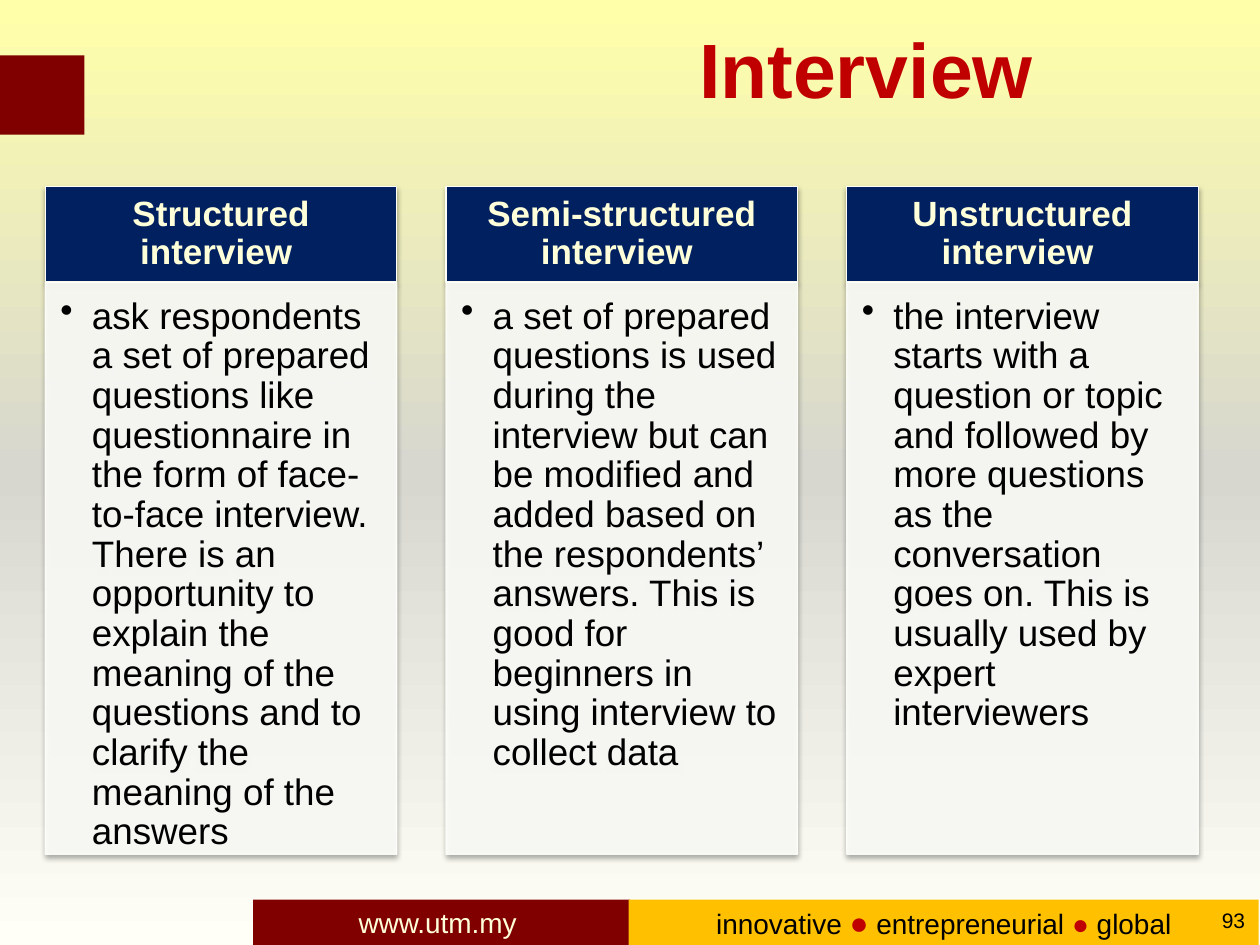
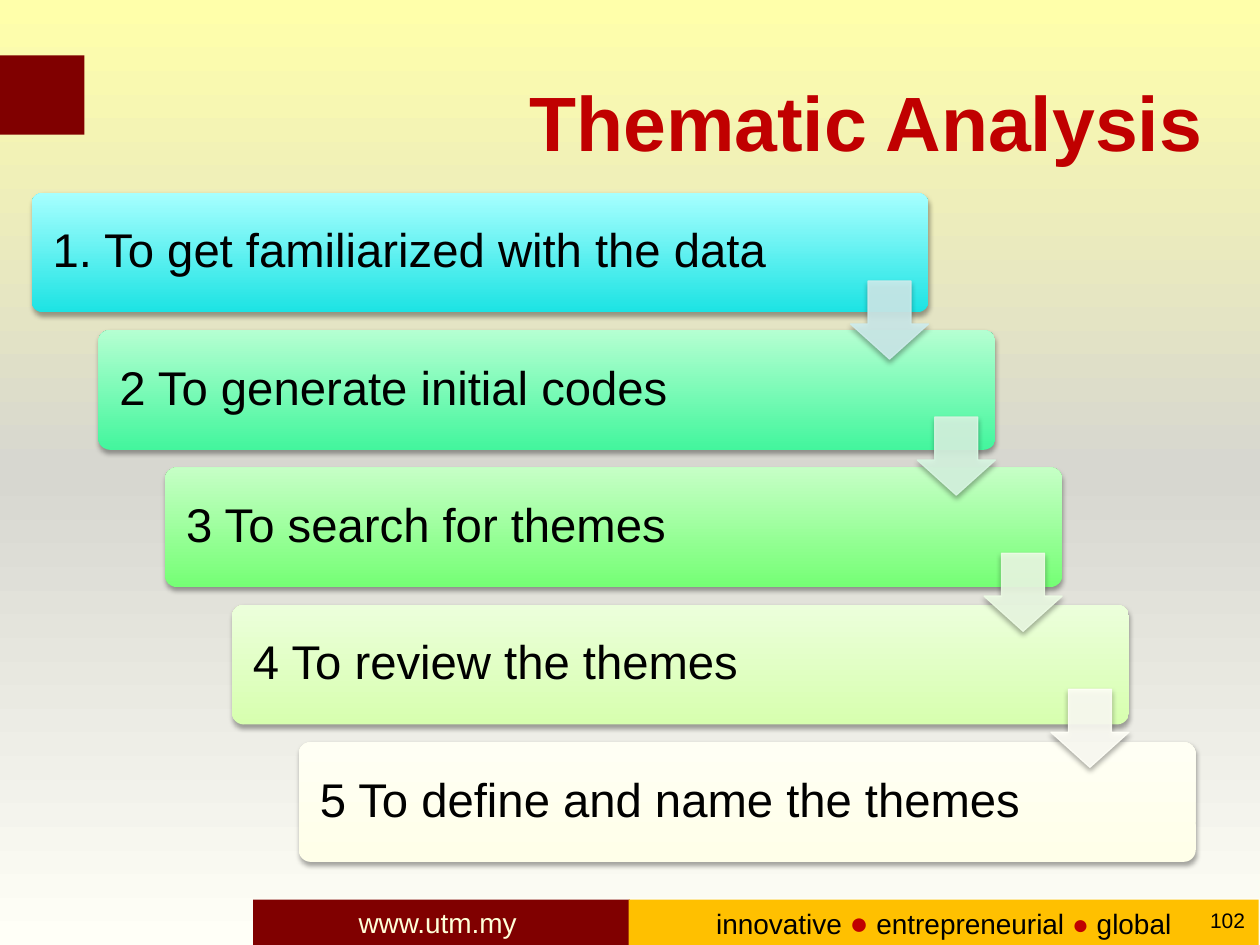
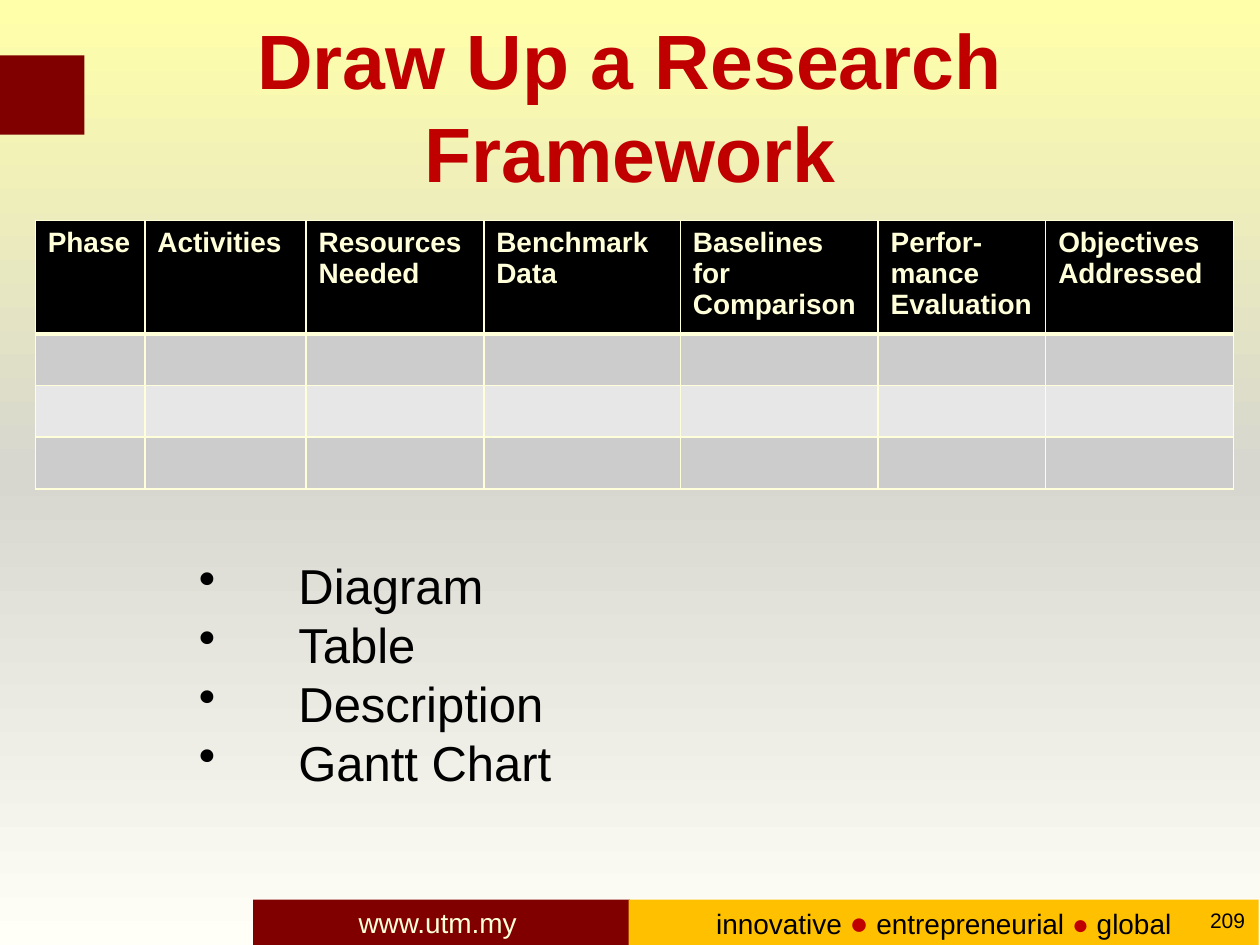
from copy import deepcopy

from lxml import etree
from pptx import Presentation
from pptx.dml.color import RGBColor
from pptx.enum.shapes import MSO_SHAPE
from pptx.enum.text import MSO_ANCHOR, MSO_AUTO_SIZE, PP_ALIGN
from pptx.oxml.ns import qn
from pptx.util import Inches, Pt

RECT = MSO_SHAPE.RECTANGLE
ROUNDED = MSO_SHAPE.ROUNDED_RECTANGLE
DOWN_ARROW = MSO_SHAPE.DOWN_ARROW
MIDDLE = MSO_ANCHOR.MIDDLE
TOP = MSO_ANCHOR.TOP
LEFT = PP_ALIGN.LEFT
CENTER = PP_ALIGN.CENTER
RIGHT = PP_ALIGN.RIGHT
NO_AUTOFIT = MSO_AUTO_SIZE.NONE

FONT = "Arial"
MAROON = "800000"
RED = "C00000"
AMBER = "FFC000"
NAVY = "002060"
CREAM = "FFFFD9"
BLACK = "000000"
rgb = RGBColor.from_string


def add_box(slide, kind, place, fills, line=None, alpha=None, shadow=False):
    box = slide.shapes.add_shape(kind, *[Inches(value) for value in place])
    if len(fills) == 1:
        box.fill.solid()
        box.fill.fore_color.rgb = rgb(fills[0])
    else:
        box.fill.gradient()
        box.fill.gradient_angle = 90
        for stop, color in zip(box.fill.gradient_stops, fills):
            stop.color.rgb = rgb(color)
    if line:
        box.line.color.rgb = rgb(line)
        box.line.width = Pt(0.75)
    else:
        box.line.fill.background()
    properties = box.element.spPr
    if alpha:
        for color in properties.iter(qn("a:srgbClr")):
            etree.SubElement(color, qn("a:alpha"), val=str(alpha * 1000))
    box.shadow.inherit = False
    if shadow:
        effects = properties.find(qn("a:effectLst"))
        outer = etree.SubElement(effects, qn("a:outerShdw"), blurRad=str(Pt(3.1)),
                                 dist=str(Pt(1.8)), dir="5400000", rotWithShape="0")
        shade = etree.SubElement(outer, qn("a:srgbClr"), val=BLACK)
        etree.SubElement(shade, qn("a:alpha"), val="35000")
    return box


def write(paragraph, runs, align=LEFT, spacing=None, hang=None, bold=False):
    paragraph.alignment = align
    if hang:
        settings = paragraph._p.get_or_add_pPr()
        settings.set("marL", str(Inches(hang)))
        settings.set("indent", str(-Inches(hang)))
        etree.SubElement(settings, qn("a:buChar"), char="•")
    if spacing:
        paragraph.line_spacing = spacing
    for text, size, color in runs:
        run = paragraph.add_run()
        run.text = text
        run.font.name = FONT
        run.font.size = Pt(size)
        run.font.bold = bold
        run.font.color.rgb = rgb(color)


prs = Presentation()
prs.slide_width = Inches(10)
prs.slide_height = Inches(7.5)

backdrop = prs.slide_master.background.fill
backdrop.gradient()
backdrop.gradient_angle = 270
stop_list = prs.slide_master.element.find(".//" + qn("a:gsLst"))
stop_list.insert(1, deepcopy(stop_list[0]))
backdrop_stops = [(0, "FFFFAA"), (0.5, "D7D7D0"), (1, "FFFFF7")]
for stop, (position, color) in zip(backdrop.gradient_stops, backdrop_stops):
    stop.position = position
    stop.color.rgb = rgb(color)

motto = [
    ("innovative ", 16, BLACK),
    ("●", 18, RED),
    (" entrepreneurial ", 16, BLACK),
    ("● ", 16, RED),
    ("global", 16, BLACK),
]
topics = [
    ("Interview", "93", (3.75, 0.25, 6.25, 0.58)),
    ("Thematic Analysis", "102", (3.75, 0.67, 6.25, 0.58)),
    ("Draw Up a Research Framework", "209", (0.75, 0.21, 8.5, 1.25)),
]
slides = []
for heading, number, place in topics:
    slide = prs.slides.add_slide(prs.slide_layouts[5])
    slides.append(slide)

    address_band = add_box(slide, RECT, (2.01, 7.14, 2.99, 0.36), [MAROON])
    write(address_band.text_frame.paragraphs[0], [("www.utm.my ", 16, CREAM)], CENTER)
    motto_band = add_box(slide, RECT, (4.99, 7.14, 5, 0.36), [AMBER])
    write(motto_band.text_frame.paragraphs[0], motto, CENTER)
    add_box(slide, RECT, (0, 0.44, 0.67, 0.63), [MAROON])

    page = slide.shapes.add_textbox(Inches(9.33), Inches(7.1), Inches(0.65), Inches(0.4))
    page.text_frame.word_wrap = True
    page.text_frame.vertical_anchor = MIDDLE
    write(page.text_frame.paragraphs[0], [(number, 12, BLACK)], RIGHT)

    title = slide.shapes.title
    title.left, title.top, title.width, title.height = [Inches(value) for value in place]
    title.text_frame.auto_size = NO_AUTOFIT
    title.text_frame.vertical_anchor = MIDDLE
    write(title.text_frame.paragraphs[0], [(heading, 44, RED)], CENTER, bold=True)

interview, thematic, framework = slides

interview_types = [
    ("Structured interview ",
     "ask respondents a set of prepared questions like questionnaire in the form of "
     "face-to-face interview. There is an opportunity to explain the meaning of the "
     "questions and to clarify the meaning of the answers"),
    ("Semi-structured interview ",
     "a set of prepared questions is used during the interview but can be modified and "
     "added based on the respondents’ answers. This is good for beginners in using "
     "interview to collect data"),
    ("Unstructured interview ",
     "the interview starts with a question or topic and followed by more questions as "
     "the conversation goes on. This is usually used by expert interviewers"),
]
for index, (kind, description) in enumerate(interview_types):
    left = 0.36 + 3.18 * index
    header = add_box(interview, RECT, (left, 1.48, 2.79, 0.76), [NAVY], "FFFFF7", shadow=True)
    header.text_frame.margin_left = header.text_frame.margin_right = Inches(0.16)
    header.text_frame.margin_top = header.text_frame.margin_bottom = Inches(0.09)
    write(header.text_frame.paragraphs[0], [(kind, 20, CREAM)], CENTER, 0.9, bold=True)

    detail = add_box(interview, RECT, (left, 2.24, 2.79, 4.54), ["FFFFFC"], "FFFFFC", 90, True)
    detail.text_frame.vertical_anchor = TOP
    detail.text_frame.margin_left = detail.text_frame.margin_top = Inches(0.12)
    detail.text_frame.margin_right = Inches(0.16)
    detail.text_frame.margin_bottom = Inches(0.18)
    write(detail.text_frame.paragraphs[0], [(description, 21, BLACK)], LEFT, 0.9, 0.25)

steps = [
    ("1. To get familiarized with the data", ["1CE3E3", "A7FFFF"]),
    ("2 To generate initial codes", ["43F69D", "B5FFD2"]),
    ("3 To search for themes", ["75FF75", "C6FFC6"]),
    ("4 To review the themes", ["D7FFAF", "ECFFDB"]),
    ("5 To define and name the themes", ["FFFFE9", "FFFFF4"]),
]
for index, (label, shades) in enumerate(steps):
    place = (0.25 + 0.53 * index, 1.53 + 1.09 * index, 7.12, 0.95)
    step = add_box(thematic, ROUNDED, place, shades, shadow=True)
    step.adjustments[0] = 0.1
    step.text_frame.margin_left = Inches(0.14)
    write(step.text_frame.paragraphs[0], [(label, 27, BLACK)], LEFT, 0.9)

for index, color in enumerate(["CEECEC", "D8F6E2", "EDFCE5", "FFFFF7"]):
    place = (6.75 + 0.53 * index, 2.23 + 1.08 * index, 0.62, 0.62)
    next_step = add_box(thematic, DOWN_ARROW, place, [color], color, 90, True)
    next_step.adjustments[0] = 0.55
    next_step.adjustments[1] = 0.45

columns = [
    ("Phase", 0.87),
    ("Activities", 1.28),
    ("Resources Needed", 1.41),
    ("Benchmark Data", 1.56),
    ("Baselines for Comparison", 1.57),
    ("Perfor-mance Evaluation", 1.33),
    ("Objectives Addressed", 1.49),
]
row_styles = [(0.84, BLACK), (0.41, "CCCCCC"), (0.41, "E7E7E7"), (0.41, "CCCCCC")]
plan = framework.shapes.add_table(len(row_styles), len(columns), Inches(0.28), Inches(1.75),
                                  Inches(9.51), Inches(2.07)).table
plan.horz_banding = False
for index, (label, width) in enumerate(columns):
    plan.columns[index].width = Inches(width)
    write(plan.cell(0, index).text_frame.paragraphs[0], [(label, 16, CREAM)], bold=True)
for row, (height, color) in enumerate(row_styles):
    plan.rows[row].height = Inches(height)
    for cell in plan.rows[row].cells:
        cell.fill.solid()
        cell.fill.fore_color.rgb = rgb(color)
        for order, edge in enumerate(["lnL", "lnR", "lnT", "lnB"]):
            weight = 3 if (row, edge) in [(0, "lnB"), (1, "lnT")] else 1
            border = etree.Element(qn("a:" + edge), w=str(Pt(weight)))
            paint = etree.SubElement(border, qn("a:solidFill"))
            etree.SubElement(paint, qn("a:srgbClr"), val=CREAM)
            cell._tc.get_or_add_tcPr().insert(order, border)

formats = framework.shapes.add_textbox(Inches(1.48), Inches(4.36), Inches(3.29), Inches(1.99))
formats.text_frame.word_wrap = True
for index, label in enumerate(["Diagram", "Table", "Description", "Gantt Chart"]):
    frame = formats.text_frame
    paragraph = frame.add_paragraph() if index else frame.paragraphs[0]
    write(paragraph, [(label, 28, BLACK)], hang=0.79)

prs.save("out.pptx")
